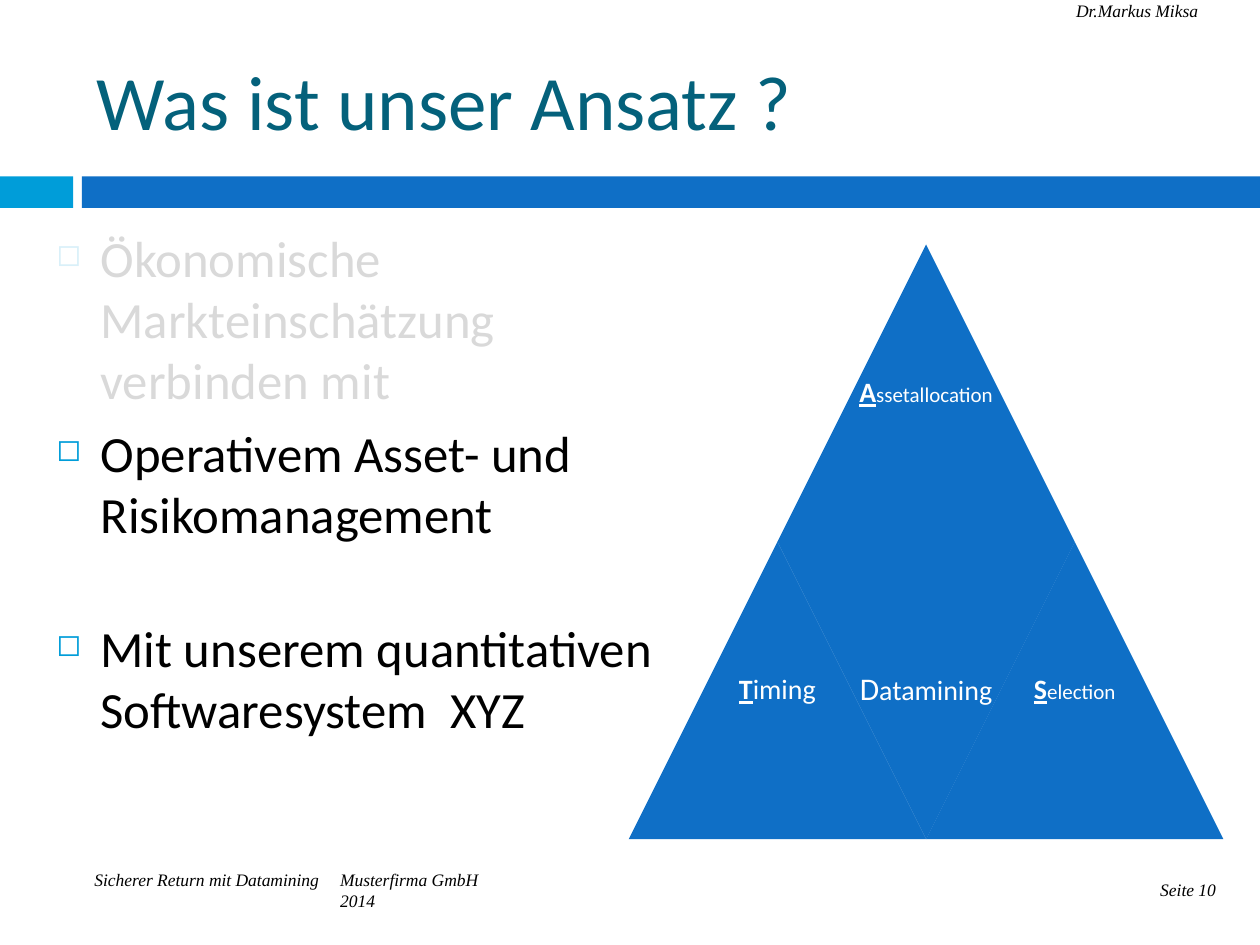
from lxml import etree
from pptx import Presentation
from pptx.dml.color import RGBColor
from pptx.enum.shapes import MSO_SHAPE
from pptx.enum.text import MSO_ANCHOR, PP_ALIGN
from pptx.oxml.ns import qn
from pptx.util import Inches, Pt

RECT, TRIANGLE = MSO_SHAPE.RECTANGLE, MSO_SHAPE.ISOSCELES_TRIANGLE
TOP, MIDDLE = MSO_ANCHOR.TOP, MSO_ANCHOR.MIDDLE
LEFT, CENTER, RIGHT = PP_ALIGN.LEFT, PP_ALIGN.CENTER, PP_ALIGN.RIGHT
BLACK = RGBColor(0x00, 0x00, 0x00)
WHITE = RGBColor(0xFF, 0xFF, 0xFF)
BLUE = RGBColor(0x0F, 0x6F, 0xC6)
CYAN = RGBColor(0x00, 0x9D, 0xD9)
TEAL = RGBColor(0x04, 0x61, 0x7B)


class SlideBuilder:
    sans = "Calibri"
    serif = "Times New Roman"

    def __init__(self, slide):
        self.s = slide

    def shape(self, kind, x, y, w, h, fill, rotation=0, opacity=None):
        sp = self.s.shapes.add_shape(kind, Inches(x), Inches(y), Inches(w), Inches(h))
        sp.shadow.inherit = False
        sp.fill.solid()
        sp.fill.fore_color.rgb = fill
        sp.line.fill.background()
        sp.rotation = rotation
        if opacity is not None:
            color = sp.fill._xPr.find(qn("a:solidFill"))[0]
            etree.SubElement(color, qn("a:alpha"), val=str(opacity * 1000))

    def frame(self, x, y, w, h, inset=(0.1, 0.05), anchor=TOP, wrap=True):
        tf = self.s.shapes.add_textbox(Inches(x), Inches(y), Inches(w), Inches(h)).text_frame
        tf.margin_left = tf.margin_right = Inches(inset[0])
        tf.margin_top = tf.margin_bottom = Inches(inset[1])
        tf.vertical_anchor = anchor
        tf.word_wrap = wrap
        return tf

    def style(self, r, size, color, name=None, **flags):
        r.font.size = Pt(size)
        r.font.name = name or self.sans
        r.font.color.rgb = color
        for flag, value in flags.items():
            setattr(r.font, flag, value)

    def title(self, text, x, y, w, h):
        tf = self.frame(x, y, w, h, anchor=MIDDLE)
        tf.text = text
        self.style(tf.paragraphs[0].runs[0], 44, TEAL)

    def note(self, text, x, y, w, align=LEFT):
        tf = self.frame(x, y, w, 0.34, inset=(0, 0), wrap=False)
        tf.text = text
        p = tf.paragraphs[0]
        p.alignment = align
        self.style(p.runs[0], 10, BLACK, self.serif, italic=True)

    def bullets(self, items, x, y, w, h):
        tf = self.frame(x, y, w, h)
        tf.text = "\n".join(text for text, _ in items)
        for p, (_, before) in zip(tf.paragraphs, items):
            p.space_before = Pt(before)
            self.style(p.runs[0], 29, BLACK)
            pPr = p._p.get_or_add_pPr()
            pPr.set("marL", str(Inches(0.35)))
            pPr.set("indent", str(-Inches(0.35)))
            color = etree.SubElement(pPr, qn("a:buClr"))
            etree.SubElement(color, qn("a:srgbClr"), val=str(CYAN))
            etree.SubElement(pPr, qn("a:buSzPct"), val="60000")
            etree.SubElement(pPr, qn("a:buChar"), char="◻")

    def triangle(self, x, y, side, word, initial_size, size, rotation=0):
        self.shape(TRIANGLE, x, y, side, side, BLUE, rotation)
        tf = self.frame(x, y, side, side, inset=(0.07, 0.07), anchor=MIDDLE)
        p = tf.paragraphs[0]
        p.alignment = CENTER
        p.line_spacing = 0.9
        marked = rotation == 0
        initial, rest = p.add_run(), p.add_run()
        initial.text, rest.text = word[0], word[1:]
        self.style(initial, initial_size, WHITE, bold=marked, underline=marked)
        self.style(rest, size, WHITE)


def main():
    prs = Presentation()
    prs.slide_width, prs.slide_height = Inches(10), Inches(7.5)
    b = SlideBuilder(prs.slides.add_slide(prs.slide_layouts[6]))

    b.shape(RECT, 0, 1.4, 0.58, 0.25, CYAN)
    b.shape(RECT, 0.65, 1.4, 9.35, 0.25, BLUE)
    b.note("Sicherer Return mit Datamining", 0.75, 6.9, 1.8)
    b.note("Musterfirma GmbH 2014", 2.7, 6.9, 1.4)
    b.note("Dr.Markus Miksa", 8.54, 0, 1.26)
    b.note("Seite 10", 8.86, 6.98, 0.79, RIGHT)
    b.title("Was ist unser Ansatz ?", 0.67, 0.25, 8.92, 1.08)
    b.bullets([
        ("Ökonomische Markteinschätzung verbinden mit", 7),
        ("Operativem Asset- und Risikomanagement", 7),
        ("Mit unserem quantitativen Softwaresystem  XYZ", 42),
    ], 0.35, 1.75, 5.2, 5.31)

    side, left, top = 2.36, 4.99, 1.94
    for column, row, word, initial_size, size, rotation in (
        (1, 0, "Assetallocation", 16, 12, 0),
        (0, 1, "Timing", 16, 16, 0),
        (1, 1, "Datamining", 18, 16, 180),
        (2, 1, "Selection", 16, 12, 0),
    ):
        b.triangle(left + column * side / 2, top + row * side, side,
                   word, initial_size, size, rotation)

    b.shape(RECT, 0.28, 1.7, 5.04, 1.57, WHITE, opacity=85)
    prs.save("out.pptx")


if __name__ == "__main__":
    main()
